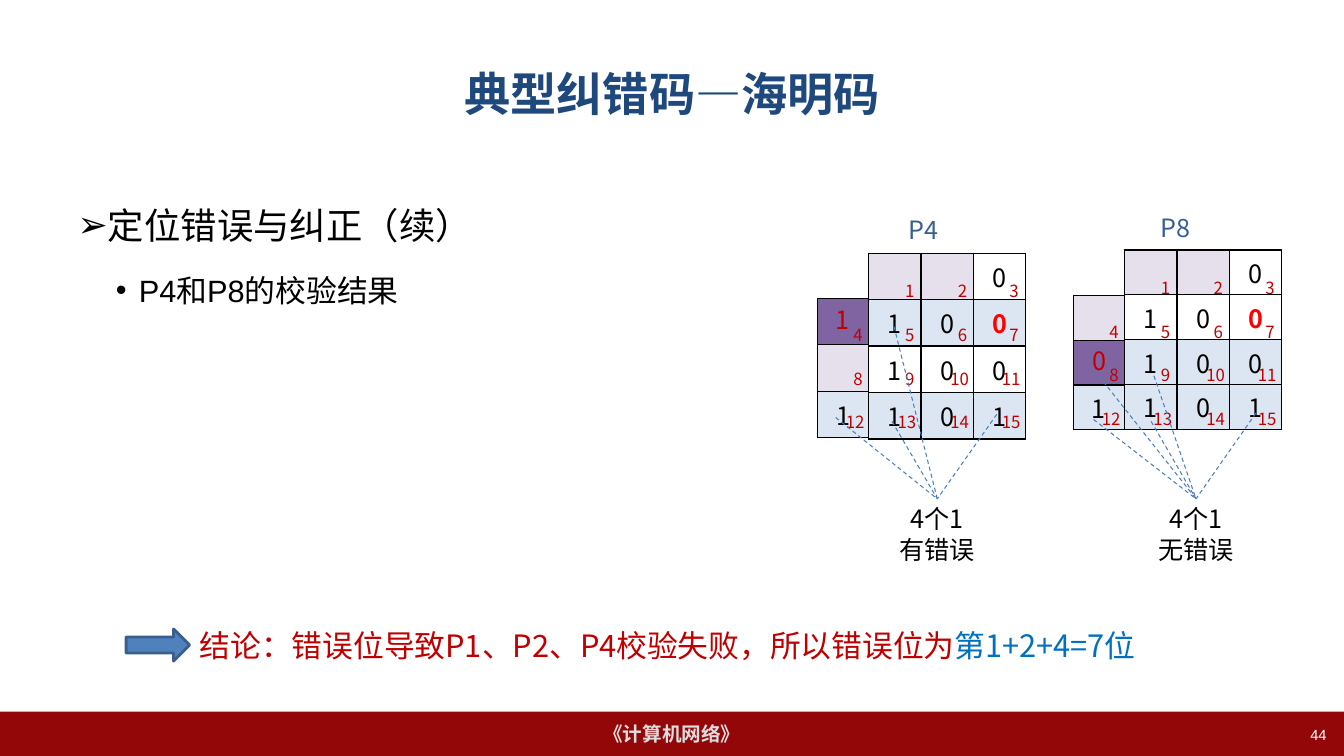
from lxml import etree
from pptx import Presentation
from pptx.dml.color import RGBColor
from pptx.enum.dml import MSO_LINE
from pptx.enum.shapes import MSO_CONNECTOR, MSO_SHAPE
from pptx.enum.text import MSO_ANCHOR as Anchor, PP_ALIGN as Align
from pptx.oxml.ns import qn
from pptx.util import Cm, Pt

SANS, CJK = "Arial", "Noto Sans CJK SC"
BLACK = RGBColor(0x00, 0x00, 0x00)
WHITE = RGBColor(0xFF, 0xFF, 0xFF)
NAVY = RGBColor(0x1F, 0x49, 0x7D)
MAROON = RGBColor(0x94, 0x07, 0x09)
LIGHT_GREY = RGBColor(0xDD, 0xDD, 0xDD)
CRIMSON = RGBColor(0xC0, 0x00, 0x00)
RED = RGBColor(0xFF, 0x00, 0x00)
SKY = RGBColor(0x00, 0x70, 0xC0)
STEEL = RGBColor(0x37, 0x60, 0x92)
ARROW_FILL = RGBColor(0x4F, 0x81, 0xBD)
ARROW_EDGE = RGBColor(0x3A, 0x5F, 0x8C)
DASH_BLUE = RGBColor(0x4B, 0x7E, 0xBC)
PURPLE = RGBColor(0x80, 0x64, 0xA2)
LILAC = RGBColor(0xE6, 0xE0, 0xEC)
PALE_BLUE = RGBColor(0xDC, 0xE6, 0xF2)

# Received data bits by position; the wrong one is at position 7
DATA_BITS = {3: 0, 5: 1, 6: 0, 7: 0, 9: 1, 10: 0, 11: 0, 12: 1, 13: 1, 14: 0, 15: 1}
PARITY_POSITIONS = (1, 2, 4, 8)
WRONG_POSITION = 7
SIDE_WIDTH, COLUMN_WIDTH = 1.27, 1.32
NUMBER_OFFSETS = (-0.66, 0.64, 1.97, 3.27)


def set_font(font, size, color, name=CJK, bold=False):
    font.size, font.name, font.bold = Pt(size), name, bold
    font.color.rgb = color


def add_text(slide, box, lines, size, color, name=CJK, bold=False,
             align=Align.CENTER, anchor=Anchor.TOP, margin=None):
    frame = slide.shapes.add_textbox(*map(Cm, box)).text_frame
    frame.word_wrap = True
    frame.vertical_anchor = anchor
    if margin is not None:
        frame.margin_left = frame.margin_right = Cm(margin)
        frame.margin_top = frame.margin_bottom = Cm(margin)
    frame.text = "\n".join(lines)
    for paragraph in frame.paragraphs:
        paragraph.alignment = align
        set_font(paragraph.font, size, color, name, bold)
    return frame


def add_bullet(paragraph, symbol, left, hanging):
    properties = paragraph._p.get_or_add_pPr()
    properties.set("marL", str(Cm(left)))
    properties.set("indent", str(-Cm(hanging)))
    etree.SubElement(properties, qn("a:buFont"), typeface=SANS)
    etree.SubElement(properties, qn("a:buChar"), char=symbol)


def add_outline(slide):
    frame = slide.shapes.add_textbox(Cm(1.7), Cm(4.45), Cm(30.48), Cm(12.57)).text_frame
    frame.word_wrap = True
    topics = [("定位错误与纠正（续）", "➢", 0.71, 0.71, 26, 0),
              ("P4和P8的校验结果", "•", 1.55, 0.58, 22, 4.4)]
    for index, (topic, symbol, left, hanging, size, before) in enumerate(topics):
        paragraph = frame.add_paragraph() if index else frame.paragraphs[0]
        paragraph.text = topic
        paragraph.level = index
        add_bullet(paragraph, symbol, left, hanging)
        paragraph.line_spacing = 1.5
        paragraph.space_before = Pt(before)
        set_font(paragraph.font, size, BLACK, SANS)


def bit_fill(position, parity):
    if position == parity:
        return PURPLE
    if position in PARITY_POSITIONS:
        return LILAC
    return PALE_BLUE if position & parity else WHITE


def add_borders(cell):
    properties = cell._tc.get_or_add_tcPr()
    for side in ("L", "R", "T", "B"):
        line = etree.SubElement(properties, qn(f"a:ln{side}"), w=str(Pt(1)))
        solid = etree.SubElement(line, qn("a:solidFill"))
        etree.SubElement(solid, qn("a:srgbClr"), val=str(BLACK))


def add_bit_table(slide, left, top, positions, width, height, parity):
    """Draw rows of bit positions as one table."""
    rows, columns = len(positions), len(positions[0])
    table = slide.shapes.add_table(rows, columns, Cm(left), Cm(top),
                                   Cm(width * columns), Cm(height * rows)).table
    table.first_row = table.horz_banding = False
    for r, row in enumerate(positions):
        for c, position in enumerate(row):
            cell = table.cell(r, c)
            add_borders(cell)
            cell.fill.solid()
            cell.fill.fore_color.rgb = bit_fill(position, parity)
            cell.margin_top = cell.margin_bottom = 0
            cell.vertical_anchor = Anchor.MIDDLE
            cell.text = str(DATA_BITS.get(position, ""))
            paragraph = cell.text_frame.paragraphs[0]
            paragraph.alignment = Align.CENTER
            wrong = position == WRONG_POSITION
            set_font(paragraph.font, 18, RED if wrong else BLACK, bold=wrong)


def add_check_grid(slide, left, top, row_height, parity, check_bit, check_at):
    """Draw one parity check: side column, main block, numbers and check bit."""
    side = [[4], [8], [12]]
    main_block = [[4 * r + c for c in (1, 2, 3)] for r in range(4)]
    add_bit_table(slide, left - 1.28, top + 1.14, side, SIDE_WIDTH, row_height, parity)
    add_bit_table(slide, left, top, main_block, COLUMN_WIDTH, row_height, parity)
    for position in range(1, 16):
        row, column = divmod(position, 4)
        x = left + NUMBER_OFFSETS[column] - (0.07 if position > 9 else 0)
        add_text(slide, (x, top + 0.7 + 1.1 * row, 0.79, 0.51), [str(position)],
                 12, CRIMSON, margin=0)
    add_text(slide, (*check_at, 0.79, 0.76), [check_bit], 18, CRIMSON, margin=0)


def add_verdict(slide, left, lines, ones):
    """Join the counted ones by dashed lines to the verdict below."""
    top = 12.57
    add_text(slide, (left, top, 3.38, 1.8), lines, 18, BLACK)
    for x, y in ones:
        ray = slide.shapes.add_connector(MSO_CONNECTOR.STRAIGHT, Cm(x), Cm(y),
                                         Cm(left + 1.69), Cm(top))
        ray.line.color.rgb = DASH_BLUE
        ray.line.width = Pt(0.75)
        ray.line.dash_style = MSO_LINE.DASH
        etree.SubElement(ray._element.spPr, qn("a:effectLst"))


def add_block(slide, kind, box, fill, edge=None):
    block = slide.shapes.add_shape(kind, *map(Cm, box))
    block.shadow.inherit = False
    block.fill.solid()
    block.fill.fore_color.rgb = fill
    if edge is None:
        block.line.fill.background()
    else:
        block.line.color.rgb = edge
        block.line.width = Pt(2)
    return block


def add_footer(slide):
    frame = add_block(slide, MSO_SHAPE.RECTANGLE, (0, 17.93, 33.87, 1.12), MAROON).text_frame
    frame.vertical_anchor = Anchor.MIDDLE
    frame.text = "《计算机网络》"
    course = frame.paragraphs[0]
    course.alignment = Align.CENTER
    set_font(course.font, 14, LIGHT_GREY, SANS, True)
    add_text(slide, (25.78, 18.16, 7.9, 0.89), ["44"], 10.5, WHITE, SANS, align=Align.RIGHT)


def add_conclusion(slide):
    add_block(slide, MSO_SHAPE.RIGHT_ARROW, (3.18, 15.85, 1.6, 0.81), ARROW_FILL, ARROW_EDGE)
    frame = add_text(slide, (4.78, 15.67, 25.91, 1.19),
                     ["结论：错误位导致P1、P2、P4校验失败，所以错误位为"],
                     22, CRIMSON, align=Align.LEFT)
    answer = frame.paragraphs[0].add_run()
    answer.text = "第1+2+4=7位"
    answer.font.color.rgb = SKY


def main():
    deck = Presentation()
    deck.slide_width, deck.slide_height = Cm(33.87), Cm(19.05)
    slide = deck.slides.add_slide(deck.slide_layouts[6])

    # Footer, title and outline
    add_footer(slide)
    add_text(slide, (1.7, 0.76, 30.48, 3.18), ["典型纠错码—海明码"], 33, NAVY, SANS, True,
             anchor=Anchor.MIDDLE)
    add_outline(slide)

    # Check by P4
    add_text(slide, (21.89, 5.28, 2.77, 1.02), ["P4"], 18, STEEL)
    add_check_grid(slide, 21.89, 6.38, 1.17, 4, "1", (20.83, 7.68))
    add_verdict(slide, 21.93, ["4个1", "有错误"],
                [(22.53, 8.23), (22.48, 10.62), (25.12, 10.44), (21.06, 10.52)])

    # Check by P8
    add_text(slide, (28.23, 5.23, 2.77, 1.02), ["P8"], 18, STEEL)
    add_check_grid(slide, 28.34, 6.3, 1.13, 8, "0", (27.31, 8.69))
    add_verdict(slide, 28.45, ["4个1", "无错误"],
                [(29.08, 9.47), (29.01, 10.62), (31.65, 10.41), (27.69, 9.47), (27.56, 10.57)])

    # Conclusion
    add_conclusion(slide)
    deck.save("out.pptx")


if __name__ == "__main__":
    main()
